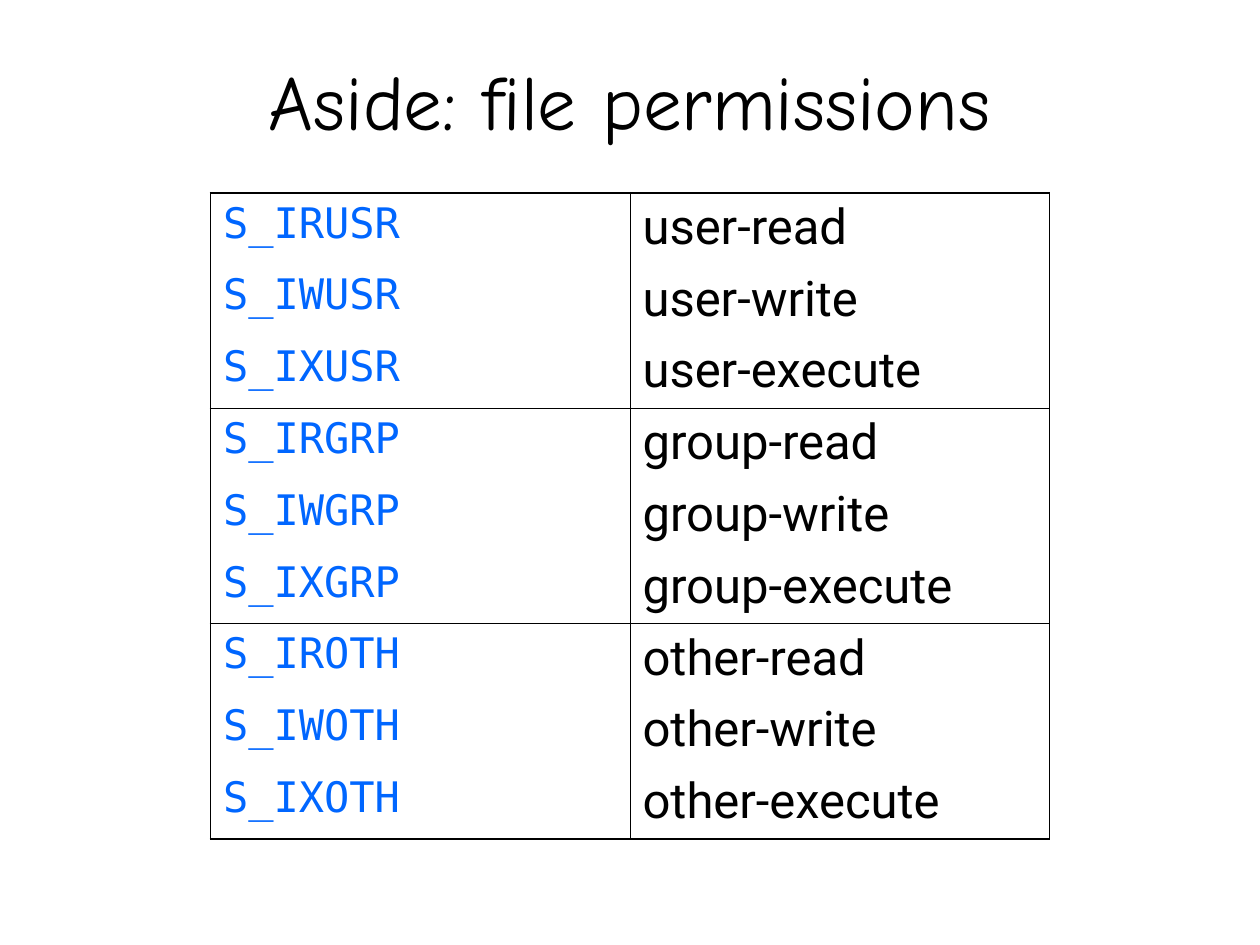
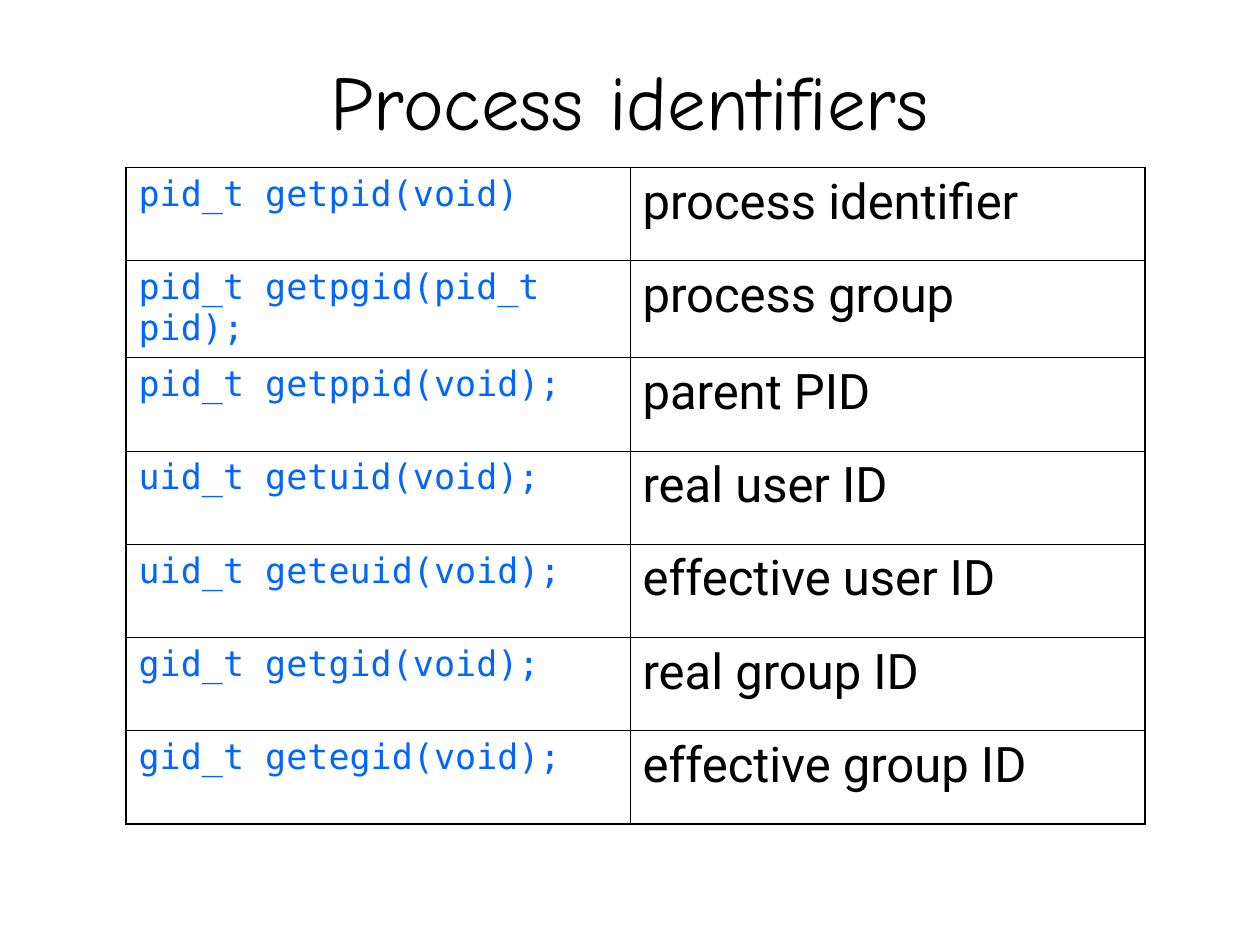
from dataclasses import dataclass

from lxml import etree
from pptx import Presentation
from pptx.dml.color import RGBColor
from pptx.enum.text import MSO_ANCHOR, MSO_AUTO_SIZE, PP_ALIGN
from pptx.oxml.ns import qn
from pptx.util import Inches, Pt

CENTER = PP_ALIGN.CENTER
MIDDLE = MSO_ANCHOR.MIDDLE
NO_AUTOFIT = MSO_AUTO_SIZE.NONE
TITLE_ONLY = 5

COLORS = {"text": "000000", "code": "0066FF", "rule": "000000"}
TITLE_FONT = {"name": "Comic Neue", "size": Pt(44), "bold": False}
CODE_FONT = {"name": "DejaVu Sans Mono", "bold": False}
MEANING_FONT = {"name": "Roboto", "size": Pt(28), "bold": False}
TITLE_PLACE = {
    "left": Inches(0.75),
    "top": Inches(0.17),
    "width": Inches(8.5),
    "height": Inches(1.25),
}
OUTER_RULE, INNER_RULE = Pt(1.08), Pt(0.45)


@dataclass
class GlossaryPage:
    """A titled two-column table of code and meaning, ruled after each group of rows."""
    title: str
    entries: list[tuple[str, str]]
    left: float
    top: float
    widths: tuple[float, float]
    heights: list[float]
    code_size: int
    group_size: int = 1


def permission_entries() -> list[tuple[str, str]]:
    classes = {"USR": "user", "GRP": "group", "OTH": "other"}
    actions = {"R": "read", "W": "write", "X": "execute"}
    return [
        (f"S_I{letter}{suffix}", f"{owner}-{action}")
        for suffix, owner in classes.items()
        for letter, action in actions.items()
    ]


PAGES = [
    GlossaryPage(
        "Aside: file permissions", permission_entries(),
        left=1.67, top=1.53, widths=(3.33, 3.33), heights=[0.57] * 9,
        code_size=24, group_size=3,
    ),
    GlossaryPage(
        "Process identifiers",
        [
            ("pid_t getpid(void)", "process identifier"),
            ("pid_t getpgid(pid_t pid);", "process group"),
            ("pid_t getppid(void);", "parent PID"),
            ("uid_t getuid(void);", "real user ID"),
            ("uid_t geteuid(void);", "effective user ID"),
            ("gid_t getgid(void);", "real group ID"),
            ("gid_t getegid(void);", "effective group ID"),
        ],
        left=1, top=1.33, widths=(4, 4.09), heights=[0.74, 0.77] + [0.74] * 5,
        code_size=20,
    ),
]


def apply(target, values: dict) -> None:
    for name, value in values.items():
        setattr(target, name, value)


def write(frame, text: str, font: dict, color: str) -> None:
    span = frame.paragraphs[0].add_run()
    span.text = text
    apply(span.font, font)
    span.font.color.rgb = RGBColor.from_string(COLORS[color])


def add_title(page, text: str) -> None:
    box = page.shapes.title
    apply(box, TITLE_PLACE)
    frame = box.text_frame
    apply(frame, {"word_wrap": True, "auto_size": NO_AUTOFIT, "vertical_anchor": MIDDLE})
    frame.paragraphs[0].alignment = CENTER
    write(frame, text, TITLE_FONT, "text")


def rule_width(edge: int, count: int, group_size: int) -> int:
    """Width of a grid line; zero inside a group."""
    if edge in (0, count):
        return OUTER_RULE
    return 0 if edge % group_size else INNER_RULE


def rule_cell(cell, widths: dict[str, int]) -> None:
    properties = cell._tc.get_or_add_tcPr()
    for side, width in widths.items():
        line = etree.SubElement(properties, qn(f"a:ln{side}"), w=str(int(width)))
        if width:
            fill = etree.SubElement(line, qn("a:solidFill"))
            etree.SubElement(fill, qn("a:srgbClr"), val=COLORS["rule"])
        else:
            etree.SubElement(line, qn("a:noFill"))
    cell.fill.background()


def add_glossary(page, glossary: GlossaryPage) -> None:
    row_count, column_count = len(glossary.entries), len(glossary.widths)
    table = page.shapes.add_table(
        row_count, column_count, Inches(glossary.left), Inches(glossary.top),
        Inches(sum(glossary.widths)), Inches(sum(glossary.heights)),
    ).table
    apply(table, {"first_row": False, "horz_banding": False})
    for column, width in zip(table.columns, glossary.widths):
        column.width = Inches(width)
    for row, height in zip(table.rows, glossary.heights):
        row.height = Inches(height)

    styles = [
        (CODE_FONT | {"size": Pt(glossary.code_size)}, "code"),
        (MEANING_FONT, "text"),
    ]
    for r, entry in enumerate(glossary.entries):
        for c, (text, (font, color)) in enumerate(zip(entry, styles)):
            cell = table.cell(r, c)
            write(cell.text_frame, text, font, color)
            rule_cell(cell, {
                "L": rule_width(c, column_count, 1),
                "R": rule_width(c + 1, column_count, 1),
                "T": rule_width(r, row_count, glossary.group_size),
                "B": rule_width(r + 1, row_count, glossary.group_size),
            })


def main() -> None:
    deck = Presentation()
    apply(deck, {"slide_width": Inches(10), "slide_height": Inches(7.5)})
    for glossary in PAGES:
        page = deck.slides.add_slide(deck.slide_layouts[TITLE_ONLY])
        add_title(page, glossary.title)
        add_glossary(page, glossary)
    deck.save("out.pptx")


if __name__ == "__main__":
    main()
